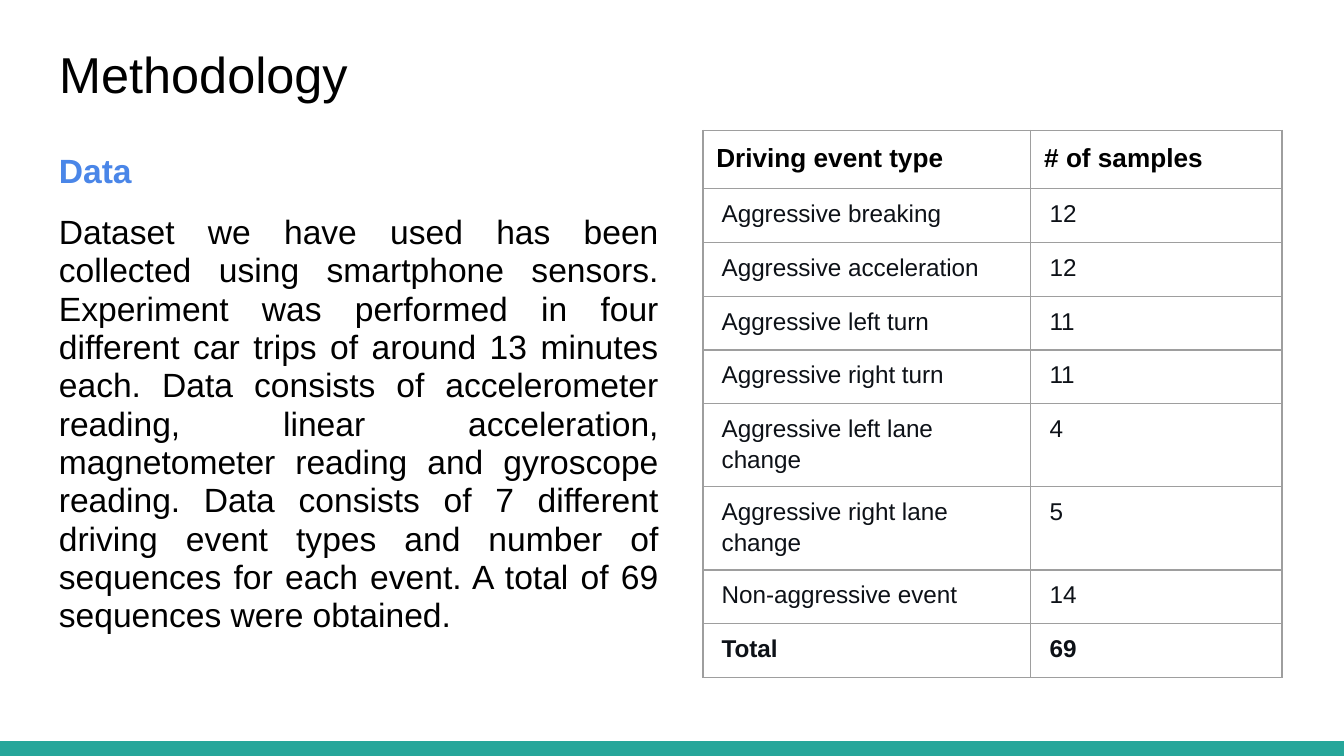
from dataclasses import dataclass

from lxml.etree import SubElement
from pptx import Presentation
from pptx.dml.color import RGBColor
from pptx.enum.shapes import MSO_SHAPE as Shape
from pptx.enum.text import MSO_ANCHOR as Anchor, MSO_AUTO_SIZE as AutoSize, PP_ALIGN as Align
from pptx.oxml.ns import qn
from pptx.util import Inches, Pt

# Content
TITLE = "Methodology"
SECTION = "Data"
DESCRIPTION = (
    "Dataset we have used has been collected using smartphone sensors. "
    "Experiment was performed in four different car trips of around 13 minutes each. "
    "Data consists of accelerometer reading, linear acceleration, magnetometer reading "
    "and gyroscope reading. Data consists of 7 different driving event types and number "
    "of sequences for each event. A total of 69 sequences were obtained."
)
HEADER = ("Driving event type", "# of samples")
EVENTS = [
    ("Aggressive breaking", "12"),
    ("Aggressive acceleration", "12"),
    ("Aggressive left turn", "11"),
    ("Aggressive right turn", "11"),
    ("Aggressive left lane change", "4"),
    ("Aggressive right lane change", "5"),
    ("Non-aggressive event", "14"),
    ("Total", "69"),
]


@dataclass(frozen=True)
class Theme:
    font: str = "Arial"
    ink: str = "000000"
    cell_ink: str = "0D1117"
    accent: str = "4A86E8"
    band: str = "26A69A"
    border: str = "9E9E9E"
    paper: str = "FFFFFF"
    title: int = 27
    body: int = 18
    header: int = 14
    cell: int = 13


THEME = Theme()

# Layout, in inches
WIDTH = 10
HEIGHT = WIDTH * 9 / 16
MARGIN, INSET = 0.34, 0.1
BAND_HEIGHT = 0.11
TABLE_LEFT, TABLE_TOP, TABLE_SIDE = 5.23, 0.97, 3.28
COLUMNS = (2.44, 1.87)
HEADER_ROW, EVENT_ROW, LONGEST_ROW = 0.42, 0.4, 0.57


def write(paragraph, text, *, size, color=THEME.ink, bold=False, align=Align.LEFT,
          line=1.0, before=0, after=0):
    paragraph.alignment = align
    paragraph.line_spacing = line
    paragraph.space_before, paragraph.space_after = Pt(before), Pt(after)
    run = paragraph.add_run()
    run.text = text
    run.font.name, run.font.size, run.font.bold = THEME.font, Pt(size), bold
    run.font.color.rgb = RGBColor.from_string(color)


def set_frame(holder, horizontal=INSET, vertical=INSET):
    holder.margin_left = holder.margin_right = Inches(horizontal)
    holder.margin_top = holder.margin_bottom = Inches(vertical)
    holder.vertical_anchor = Anchor.TOP


def add_borders(cell):
    properties = cell._tc.get_or_add_tcPr()
    for side in ("a:lnL", "a:lnR", "a:lnT", "a:lnB"):
        edge = SubElement(properties, qn(side), w=str(Pt(0.75)))
        fill = SubElement(edge, qn("a:solidFill"))
        SubElement(fill, qn("a:srgbClr"), val=THEME.border)


def add_band(slide):
    band = slide.shapes.add_shape(Shape.RECTANGLE, 0, Inches(HEIGHT - BAND_HEIGHT),
                                  Inches(WIDTH), Inches(BAND_HEIGHT))
    band.shadow.inherit = False
    band.fill.solid()
    band.fill.fore_color.rgb = RGBColor.from_string(THEME.band)
    band.line.fill.background()


def add_title(slide):
    title = slide.shapes.title
    title.left, title.top = Inches(MARGIN), Inches(0.22)
    title.width, title.height = Inches(WIDTH - 2 * MARGIN), Inches(0.67)
    frame = title.text_frame
    frame.auto_size = AutoSize.NONE
    set_frame(frame)
    write(frame.paragraphs[0], TITLE, size=THEME.title)


def add_description(slide):
    box = slide.shapes.add_textbox(Inches(MARGIN), Inches(1.04),
                                   Inches(WIDTH / 2 - MARGIN), Inches(3.72))
    frame = box.text_frame
    frame.word_wrap = True
    set_frame(frame)
    write(frame.paragraphs[0], SECTION, size=THEME.body, color=THEME.accent,
          bold=True, line=0.95)
    write(frame.add_paragraph(), DESCRIPTION, size=THEME.body, align=Align.JUSTIFY,
          line=0.95, before=12, after=12)


def add_samples(slide):
    longest = max(EVENTS, key=lambda event: len(event[0]))
    heights = [HEADER_ROW] + [LONGEST_ROW if event == longest else EVENT_ROW
                              for event in EVENTS]
    holder = slide.shapes.add_table(len(heights), len(COLUMNS), Inches(TABLE_LEFT),
                                    Inches(TABLE_TOP), Inches(TABLE_SIDE),
                                    Inches(TABLE_SIDE))
    table = holder.table
    table.first_row = table.horz_banding = False
    for column, width in zip(table.columns, COLUMNS):
        column.width = Inches(width)

    for index, values in enumerate([HEADER, *EVENTS]):
        table.rows[index].height = Inches(heights[index])
        for cell, text in zip(table.rows[index].cells, values):
            add_borders(cell)
            paragraph = cell.text_frame.paragraphs[0]
            if index == 0:
                cell.fill.background()
                set_frame(cell)
                write(paragraph, text, size=THEME.header, bold=True)
            else:
                cell.fill.solid()
                cell.fill.fore_color.rgb = RGBColor.from_string(THEME.paper)
                set_frame(cell, 0.14, 0.06)
                write(paragraph, text, size=THEME.cell, color=THEME.cell_ink,
                      bold=values[0] == "Total", line=1.15, after=12)

    # Rows grow to fit their text, past this nominal frame
    holder.width = holder.height = Inches(TABLE_SIDE)


def main():
    deck = Presentation()
    deck.slide_width, deck.slide_height = Inches(WIDTH), Inches(HEIGHT)
    slide = deck.slides.add_slide(deck.slide_layouts.get_by_name("Title Only"))
    add_band(slide)
    add_title(slide)
    add_description(slide)
    add_samples(slide)
    deck.save("out.pptx")


if __name__ == "__main__":
    main()
